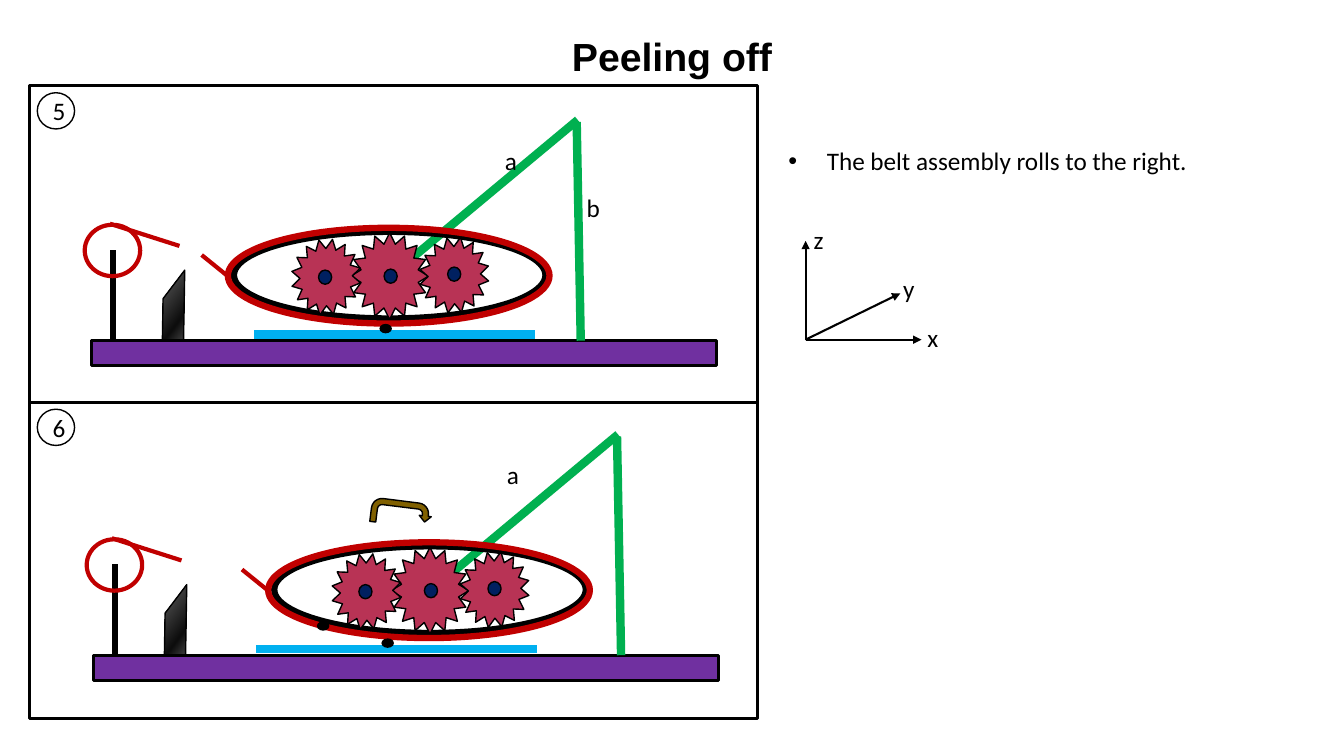
from lxml import etree
from pptx import Presentation
from pptx.dml.color import RGBColor
from pptx.enum.shapes import MSO_CONNECTOR, MSO_SHAPE
from pptx.enum.text import MSO_ANCHOR, MSO_AUTO_SIZE, PP_ALIGN
from pptx.oxml import parse_xml
from pptx.oxml.ns import qn
from pptx.util import Inches, Pt

BLACK = RGBColor(0x00, 0x00, 0x00)
RED = RGBColor(0xC0, 0x00, 0x00)
GREEN = RGBColor(0x00, 0xB0, 0x50)
PURPLE = RGBColor(0x70, 0x30, 0xA0)
SKY = RGBColor(0x00, 0xB0, 0xF0)
CRIMSON = RGBColor(0xB8, 0x33, 0x55)
NAVY = RGBColor(0x00, 0x20, 0x60)
BROWN = RGBColor(0x80, 0x60, 0x00)

PANEL_LEFT, PANEL_TOP, PANEL_WIDTH, PANEL_HEIGHT = 0.29, 0.85, 7.22, 3.14
ROW_STEP = 3.12
BLADE_GRADIENT = (
    '<a:gradFill xmlns:a="http://schemas.openxmlformats.org/drawingml/2006/main" rotWithShape="1">'
    '<a:gsLst><a:gs pos="0"><a:srgbClr val="808080"/></a:gs>'
    '<a:gs pos="50000"><a:srgbClr val="0D0D0D"/></a:gs>'
    '<a:gs pos="100000"><a:srgbClr val="D9D9D9"/></a:gs></a:gsLst>'
    '<a:lin ang="5400000" scaled="0"/></a:gradFill>'
)


def draw_shape(shapes, preset, left, top, width, height, fill=None,
               line=BLACK, weight=1, rotation=0):
    shape = shapes.add_shape(preset, Inches(left), Inches(top), Inches(width), Inches(height))
    shape.shadow.inherit = False
    shape.rotation = rotation
    if fill is None:
        shape.fill.background()
    else:
        shape.fill.solid()
        shape.fill.fore_color.rgb = fill
    shape.line.color.rgb = line
    shape.line.width = Pt(weight)
    return shape


def draw_line(shapes, start_x, start_y, end_x, end_y, color, weight):
    connector = shapes.add_connector(MSO_CONNECTOR.STRAIGHT, Inches(start_x), Inches(start_y),
                                     Inches(end_x), Inches(end_y))
    connector.line.color.rgb = color
    connector.line.width = Pt(weight)
    etree.SubElement(connector._element.spPr, qn("a:effectLst"))
    return connector


presentation = Presentation()
presentation.slide_width = Inches(13.33)
presentation.slide_height = Inches(7.5)
slide = presentation.slides.add_slide(presentation.slide_layouts[1])

# Title and bullet
title, body = slide.placeholders
title.left, title.top, title.width, title.height = 0, Inches(0.27), Inches(13.33), Inches(0.57)
body.left, body.top, body.width, body.height = Inches(7.72), Inches(1.39), Inches(4.19), Inches(0.71)
for placeholder, text, size, font_name, alignment in (
    (title, "Peeling off", 28, "Arial", PP_ALIGN.CENTER),
    (body, "The belt assembly rolls to the right.", 18, "Calibri", PP_ALIGN.LEFT),
):
    placeholder.text_frame.auto_size = MSO_AUTO_SIZE.NONE
    paragraph = placeholder.text_frame.paragraphs[0]
    paragraph.alignment = alignment
    paragraph.space_before = Pt(0)
    run = paragraph.add_run()
    run.text = text
    run.font.size = Pt(size)
    run.font.name = font_name
    run.font.bold = placeholder is title
    run.font.color.rgb = BLACK
body.text_frame.word_wrap = False
bullet_properties = body.text_frame.paragraphs[0]._p.get_or_add_pPr()
bullet_properties.set("marL", str(Inches(0.38)))
bullet_properties.set("indent", str(-Inches(0.38)))
etree.SubElement(bullet_properties, qn("a:buFont")).set("typeface", "Arial")
etree.SubElement(bullet_properties, qn("a:buChar")).set("char", "•")

# Panels: the stand shifts slightly in step 6, the belt assembly rolls further
for row, (step, stand, belt) in enumerate((("5", 0, 0), ("6", 0.02, 0.4))):
    panel_top = PANEL_TOP + row * PANEL_HEIGHT
    down = row * ROW_STEP
    draw_shape(slide.shapes, MSO_SHAPE.RECTANGLE, PANEL_LEFT, panel_top,
               PANEL_WIDTH, PANEL_HEIGHT, weight=2.25)
    badge = draw_shape(slide.shapes, MSO_SHAPE.OVAL, 0.37, panel_top + 0.07, 0.37, 0.36)
    badge.text_frame.vertical_anchor = MSO_ANCHOR.MIDDLE
    paragraph = badge.text_frame.paragraphs[0]
    paragraph.alignment = PP_ALIGN.CENTER
    run = paragraph.add_run()
    run.text = step
    run.font.size = Pt(18)
    run.font.name = "Calibri"
    run.font.color.rgb = BLACK

    machine = slide.shapes.add_group_shape().shapes
    blade = draw_shape(machine, MSO_SHAPE.DIAGONAL_STRIPE, 1.47 + stand, 2.86 + down,
                       0.71, 0.52, BLACK, rotation=307.2)
    solid_fill = blade._element.spPr.find(qn("a:solidFill"))
    blade._element.spPr.replace(solid_fill, parse_xml(BLADE_GRADIENT))
    draw_line(machine, 3.93 + belt, 2.69 + down, 5.73 + belt, 1.19 + down, GREEN, 6)
    draw_shape(machine, MSO_SHAPE.RECTANGLE, 0.91 + stand, 3.38 + down, 6.2, 0.25, PURPLE, weight=2.25)
    draw_line(machine, 1.12 + stand, 3.38 + down, 1.12 + stand, 2.48 + down, BLACK, 4.5)
    draw_shape(machine, MSO_SHAPE.OVAL, 0.84 + stand, 2.23 + down, 0.55, 0.51, line=RED, weight=3)
    draw_line(machine, 2 + belt, 2.53 + down, 2.26 + belt, 2.74 + down, RED, 3)
    draw_line(machine, 5.76 + belt, 3.38 + down, 5.72 + belt, 1.21 + down, GREEN, 6)

    draw_shape(machine, MSO_SHAPE.OVAL, 2.32 + belt, 2.3 + down, 3.09, 0.86, weight=4.5)
    for left, top, width, height, rotation in (
        (3.48, 2.31, 0.77, 0.86, 0),
        (2.89, 2.37, 0.69, 0.76, 9.5),
        (4.16, 2.35, 0.69, 0.76, 9.5),
    ):
        draw_shape(machine, MSO_SHAPE.STAR_16_POINT, left + belt, top + down,
                   width, height, CRIMSON, rotation=rotation)
    for left, top in ((3.16, 2.68), (4.44, 2.65), (3.81, 2.67)):
        draw_shape(machine, MSO_SHAPE.OVAL, left + belt, top + down, 0.13, 0.14, NAVY)
    draw_shape(machine, MSO_SHAPE.OVAL, 2.26 + belt, 2.26 + down, 3.19, 0.95, line=RED, weight=4.5)

    draw_line(machine, 1.09 + stand, 2.22 + down, 1.78 + stand, 2.44 + down, RED, 3)
    draw_line(machine, 2.52 + stand, 3.32 + down, 5.31 + stand, 3.32 + down, SKY, 6)
    draw_shape(machine, MSO_SHAPE.OVAL, 3.77 + stand, 3.22 + down, 0.11, 0.08, BLACK)

# Rolling direction and the mark carried along by the belt in step 6
draw_shape(slide.shapes, MSO_SHAPE.U_TURN_ARROW, 3.68, 4.97, 0.6, 0.24, BROWN, rotation=7.1)
draw_shape(slide.shapes, MSO_SHAPE.OVAL, 3.15, 6.17, 0.11, 0.08, BLACK)

# Axes
for end_x, end_y in ((9.14, 3.37), (8.93, 2.91), (7.99, 2.39)):
    axis = draw_line(slide.shapes, 7.99, 3.37, end_x, end_y, BLACK, 1.5)
    etree.SubElement(axis.line._get_or_add_ln(), qn("a:tailEnd")).set("type", "triangle")

# Letters on the arms and axes
for letter, left, top in (
    ("a", 4.91, 1.39), ("b", 5.72, 1.86), ("a", 4.93, 4.51),
    ("x", 9.1, 3.15), ("y", 8.86, 2.66), ("z", 7.97, 2.18),
):
    label = slide.shapes.add_textbox(Inches(left), Inches(top), Inches(0.32), Inches(0.4))
    label.text_frame.word_wrap = False
    run = label.text_frame.paragraphs[0].add_run()
    run.text = letter
    run.font.size = Pt(18)
    run.font.name = "Calibri"
    run.font.color.rgb = BLACK

presentation.save("out.pptx")
